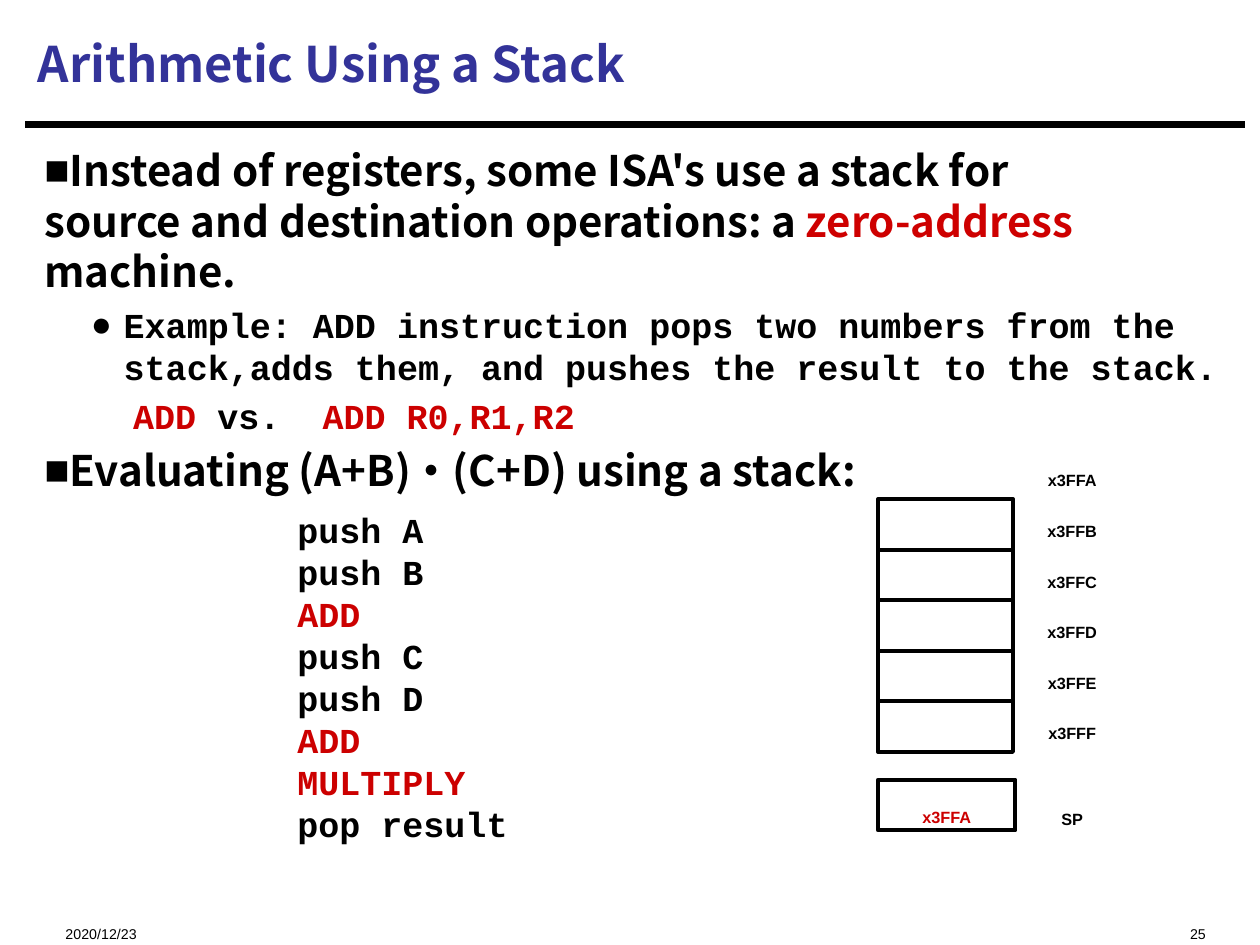
from dataclasses import dataclass

import lxml.etree
import pptx
import pptx.dml.color
import pptx.enum.shapes
import pptx.enum.text
import pptx.oxml.ns
import pptx.util

Cm = pptx.util.Cm
Pt = pptx.util.Pt
qn = pptx.oxml.ns.qn
Align = pptx.enum.text.PP_ALIGN
Anchor = pptx.enum.text.MSO_ANCHOR

COLORS = {"ink": "000000", "title": "333399", "accent": "CE0000", "code": "CC0000"}
HEADING, CODE, LABEL = "Noto Sans CJK SC", "Courier New", "Arial"


@dataclass
class Span:
    text: str
    color: str = "ink"


@dataclass
class Item:
    spans: list[Span]
    font: str = HEADING
    size: float = 24
    bullet: str = ""
    level: int = 0
    margin: float = 0
    indent: float = 0
    before: float = 4.8


@dataclass
class Place:
    left: float
    top: float
    width: float
    height: float

    def lengths(self) -> list[pptx.util.Cm]:
        return [Cm(value) for value in (self.left, self.top, self.width, self.height)]


def rgb(name: str) -> pptx.dml.color.RGBColor:
    return pptx.dml.color.RGBColor.from_string(COLORS[name])


def add_text(para, text: str, *, font: str, size: float, color: str = "ink",
             bold: bool = True, lowered: bool = False) -> None:
    """Add formatted text to a paragraph, with line breaks at newlines."""
    for number, line in enumerate(text.split("\n")):
        if number:
            para.add_line_break()
        if not line:
            continue
        span = para.add_run()
        span.text = line
        span.font.name = font
        span.font.size = Pt(size)
        span.font.bold = bold
        span.font.color.rgb = rgb(color)
        properties = span.font._element
        lxml.etree.SubElement(properties, qn("a:ea")).set("typeface", font)
        if lowered:
            properties.set("baseline", "-33000")


def add_item(para, item: Item) -> None:
    """Write one list item of the body."""
    para.level = item.level
    properties = para._p.get_or_add_pPr()
    properties.set("marL", str(Cm(item.margin)))
    properties.set("indent", str(Cm(item.indent)))
    if item.bullet:
        lxml.etree.SubElement(properties, qn("a:buFont")).set("typeface", LABEL)
        lxml.etree.SubElement(properties, qn("a:buChar")).set("char", item.bullet)
    else:
        lxml.etree.SubElement(properties, qn("a:buNone"))
    para.alignment = Align.LEFT
    para.line_spacing = Pt(item.size * 1.2)
    para.space_before = Pt(item.before)
    for span in item.spans:
        add_text(para, span.text, font=item.font, size=item.size, color=span.color)


def add_label(shapes, place: Place, text: str, *, size: float = 16,
              bold: bool = True, align=Align.CENTER) -> None:
    box = shapes.add_textbox(*place.lengths())
    box.text_frame.word_wrap = True
    para = box.text_frame.paragraphs[0]
    para.alignment = align
    add_text(para, text, font=LABEL, size=size, bold=bold, lowered=True)


def add_cell(shapes, place: Place, text: str = "") -> None:
    """Draw one memory cell or register."""
    box = shapes.add_shape(pptx.enum.shapes.MSO_SHAPE.RECTANGLE, *place.lengths())
    box.shadow.inherit = False
    box.fill.background()
    box.line.color.rgb = rgb("ink")
    box.line.width = Pt(2.25)
    if text:
        box.text_frame.vertical_anchor = Anchor.TOP
        para = box.text_frame.paragraphs[0]
        para.alignment = Align.CENTER
        add_text(para, text, font=LABEL, size=16, color="code", lowered=True)


def move(box, place: Place) -> None:
    box.left, box.top, box.width, box.height = place.lengths()
    box.text_frame.auto_size = pptx.enum.text.MSO_AUTO_SIZE.NONE


ITEMS = [
    Item([Span("Instead of registers, some ISA's use a stack for\n"
               "source and destination operations: a "),
          Span("zero-address", "accent"), Span(" machine.")], bullet="■", before=0),
    Item([Span("Example: ADD instruction pops two numbers from the "
               "stack,adds them, and pushes the result to the stack.")],
         CODE, 20, bullet="●", level=1, margin=1.6, indent=-0.66, before=4),
    Item([Span("ADD ", "code"), Span("vs.  "), Span("ADD R0,R1,R2", "code")],
         CODE, 20, level=1, margin=1.79, before=4),
    Item([Span("Evaluating (A+B)·(C+D) using a stack:")], bullet="■"),
    Item([Span("push A\npush B\n"), Span("ADD\n", "code"), Span("push C\npush D\n"),
          Span("ADD\nMULTIPLY\n", "code"), Span("pop result")],
         CODE, 20, margin=5.1, before=8),
]
ADDRESSES = ["x3FFA", "x3FFB", "x3FFC", "x3FFD", "x3FFE", "x3FFF"]
PITCH = 1.02


def main() -> None:
    deck = pptx.Presentation()
    deck.slide_width, deck.slide_height = Cm(25.4), Cm(19.05)
    page = deck.slides.add_slide(deck.slide_layouts[1])
    title, body = page.placeholders

    # Title and rule
    move(title, Place(0.51, 0.2, 24.56, 2.13))
    title.text_frame.vertical_anchor = Anchor.MIDDLE
    para = title.text_frame.paragraphs[0]
    para.alignment = Align.LEFT
    add_text(para, "Arithmetic Using a Stack", font=HEADING, size=28, color="title")
    rule = page.shapes.add_connector(pptx.enum.shapes.MSO_CONNECTOR.STRAIGHT,
                                     Cm(0.51), Cm(2.51), Cm(25.1), Cm(2.51))
    rule.line.color.rgb = rgb("ink")
    rule.line.width = Pt(3.75)
    lxml.etree.SubElement(rule._element.spPr, qn("a:effectLst"))

    # Body list
    move(body, Place(0.64, 2.72, 24.76, 15.01))
    frame = body.text_frame
    frame.margin_top = Cm(0.2)
    frame.margin_right = Cm(0.1)
    for number, item in enumerate(ITEMS):
        add_item(frame.add_paragraph() if number else frame.paragraphs[0], item)

    # Stack memory with its addresses, and the stack pointer
    stack = page.shapes.add_group_shape().shapes
    for row, address in enumerate(ADDRESSES):
        if row:
            add_cell(stack, Place(17.7, 10.06 + (row - 1) * PITCH, 2.72, PITCH))
        add_label(stack, Place(20.42, 8.94 + row * PITCH, 2.39, 0.94), address)
    add_cell(stack, Place(17.7, 15.72, 2.77, PITCH), "x3FFA")
    add_label(stack, Place(20.42, 15.77, 2.39, 0.94), "SP")

    # Date and page number
    add_label(page.shapes, Place(1.07, 18.16, 6.35, 0.69), "2020/12/23",
              size=14, bold=False, align=Align.LEFT)
    add_label(page.shapes, Place(16.94, 18.16, 7.62, 0.69), "25",
              size=14, bold=False, align=Align.RIGHT)

    deck.save("out.pptx")


if __name__ == "__main__":
    main()
